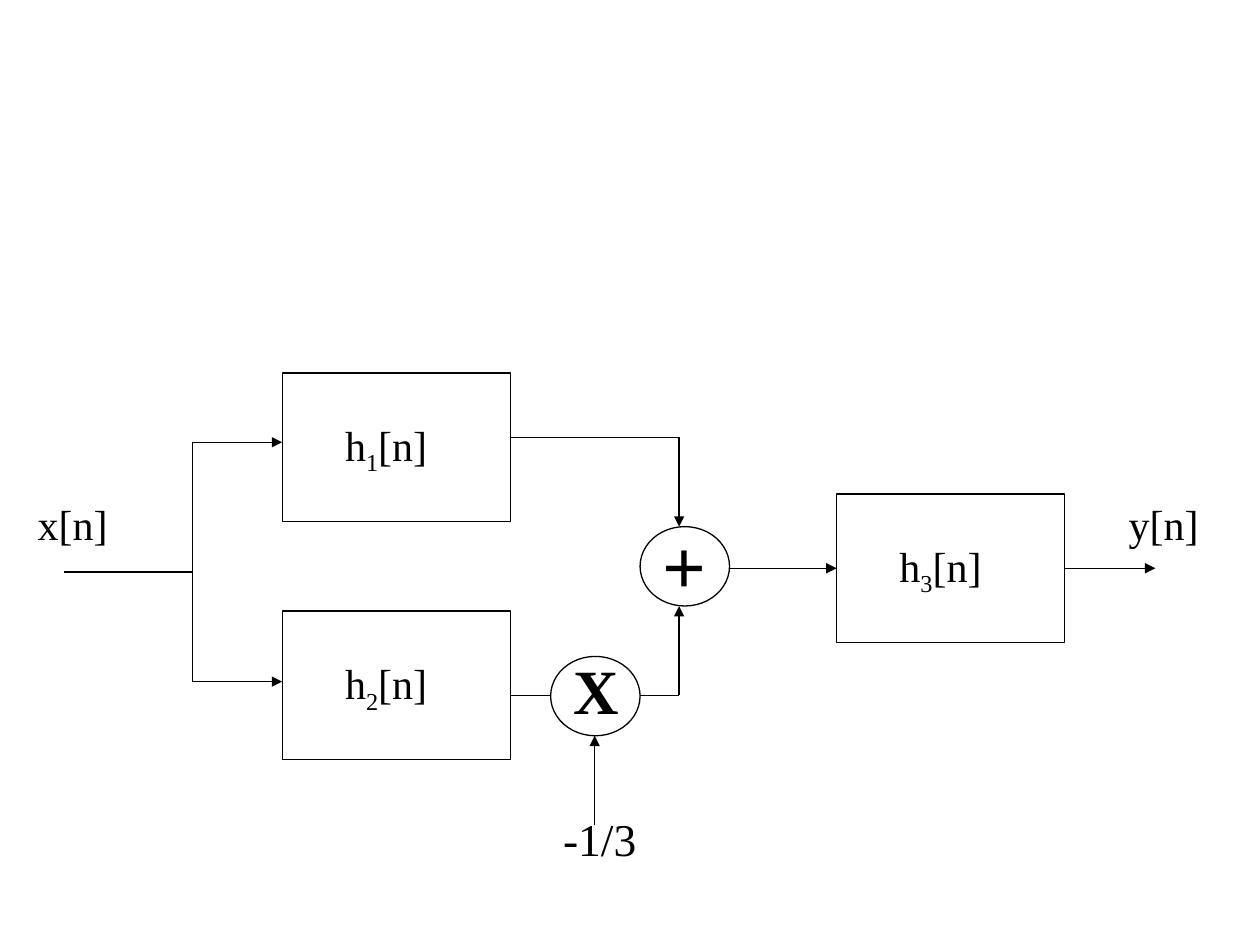
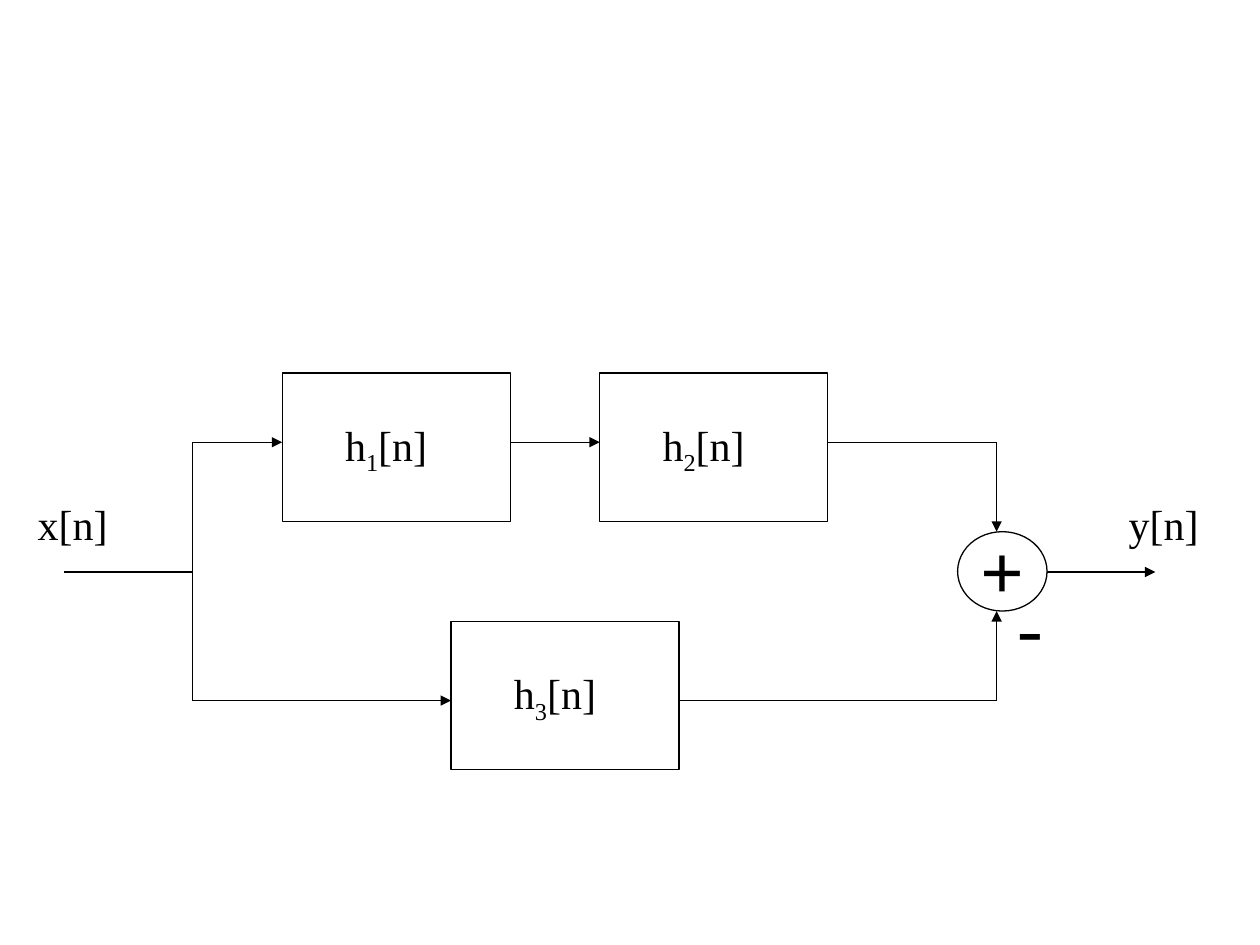
from lxml import etree
from pptx import Presentation
from pptx.dml.color import RGBColor
from pptx.enum.shapes import MSO_CONNECTOR, MSO_SHAPE
from pptx.enum.text import MSO_AUTO_SIZE
from pptx.oxml.ns import qn
from pptx.util import Inches, Pt

RECT, OVAL = MSO_SHAPE.RECTANGLE, MSO_SHAPE.OVAL
STRAIGHT = MSO_CONNECTOR.STRAIGHT
FIT_TEXT = MSO_AUTO_SIZE.SHAPE_TO_FIT_TEXT

COLORS = {"ink": "000000", "paper": "FFFFFF"}
INK, PAPER = (RGBColor.from_string(COLORS[name]) for name in ("ink", "paper"))
FONT = "Times New Roman"
LINE_WIDTH = Pt(0.75)
BOX_W, BOX_H = 1.81, 1.18
NODE_W, NODE_H = 0.71, 0.63
SPLIT_X, INPUT_Y = 1.53, 4.54
JOIN_TOLERANCE = 0.02

# text, left, top, width, height, size
COMMON_LABELS = [
    ("x[n]", 0.2, 3.91, 0.78, 0.5, 24),
    ("y[n]", 8.86, 3.91, 0.78, 0.5, 24),
]
# from x, from y, to x, to y, arrow
COMMON_WIRES = [
    (0.51, INPUT_Y, SPLIT_X, INPUT_Y, False),
    (SPLIT_X, INPUT_Y, SPLIT_X, 3.51, False),
    (SPLIT_X, 3.51, 2.24, 3.51, True),
]

DIAGRAMS = [
    {
        # filter number, left, top
        "filters": [("1", 2.24, 2.96), ("3", 6.64, 3.92), ("2", 2.24, 4.85)],
        "wires": [
            (SPLIT_X, INPUT_Y, SPLIT_X, 5.41, False),
            (SPLIT_X, 5.41, 2.24, 5.41, True),
            (4.05, 3.47, 5.39, 3.47, False),
            (5.39, 3.47, 5.39, 4.18, True),
            (4.05, 5.52, 5.39, 5.52, False),
            (5.39, 5.52, 5.39, 4.81, True),
            (4.72, 6.55, 4.72, 5.84, True),
            (5.79, 4.51, 6.64, 4.51, True),
            (8.45, 4.51, 9.17, 4.51, True),
        ],
        # sign, left, top, size, text rise above the node, text height, filled
        "nodes": [
            ("+", 5.08, 4.18, 44, 0.12, 0.84, False),
            ("X", 4.37, 5.21, 36, 0.09, 0.7, True),
        ],
        "labels": [("-1/3", 4.37, 6.39, 0.78, 0.54, 26)],
    },
    {
        "filters": [("1", 2.24, 2.96), ("2", 4.76, 2.96), ("3", 3.58, 4.93)],
        "wires": [
            (SPLIT_X, INPUT_Y, SPLIT_X, 5.56, False),
            (SPLIT_X, 5.56, 3.58, 5.56, True),
            (4.05, 3.51, 4.76, 3.51, True),
            (6.57, 3.51, 7.91, 3.51, False),
            (7.91, 3.51, 7.91, 4.22, True),
            (5.39, 5.56, 6.65, 5.56, False),
            (6.57, 5.56, 7.91, 5.56, False),
            (7.91, 5.56, 7.91, 4.85, True),
            (8.31, INPUT_Y, 9.17, INPUT_Y, True),
        ],
        "nodes": [("+", 7.6, 4.22, 44, 0.12, 0.84, False)],
        "labels": [("-", 7.98, 4.54, 0.4, 0.84, 44)],
    },
]


def add_outline(s, preset, left, top, width, height, filled=False):
    sp = s.shapes.add_shape(
        preset, Inches(left), Inches(top), Inches(width), Inches(height))
    sp.shadow.inherit = False
    if filled:
        sp.fill.solid()
        sp.fill.fore_color.rgb = PAPER
    else:
        sp.fill.background()
    sp.line.color.rgb = INK
    sp.line.width = LINE_WIDTH
    return sp


def add_text(s, runs, left, top, width, height, size,
             bold=False, wrap=True, space_before=0):
    """Add a one-paragraph text box and return its runs."""
    sp = s.shapes.add_textbox(
        Inches(left), Inches(top), Inches(width), Inches(height))
    tf = sp.text_frame
    tf.word_wrap = wrap
    tf.auto_size = FIT_TEXT
    p = tf.paragraphs[0]
    p.space_before = Pt(space_before)
    p.font.name = FONT
    p.font.size = Pt(size)
    p.font.bold = bold
    p.font.color.rgb = INK
    for text in runs:
        p.add_run().text = text
    return p.runs


prs = Presentation()
prs.slide_width, prs.slide_height = Inches(10), Inches(7.5)

for diagram in DIAGRAMS:
    s = prs.slides.add_slide(prs.slide_layouts[6])

    sides = []  # x, y, box, connection site
    for number, left, top in diagram["filters"]:
        box = add_outline(s, RECT, left, top, BOX_W, BOX_H)
        middle = top + BOX_H / 2
        sides += [(left, middle, box, 1), (left + BOX_W, middle, box, 3)]
        runs = add_text(s, ["h", number, "[n]"], left + 0.4, top + 0.32,
                        1.02, 0.56, 24, space_before=15)
        runs[1].font._element.set("baseline", "-25000")

    for x1, y1, x2, y2, arrow in COMMON_WIRES + diagram["wires"]:
        wire = s.shapes.add_connector(
            STRAIGHT, Inches(x1), Inches(y1), Inches(x2), Inches(y2))
        wire.line.color.rgb = INK
        wire.line.width = LINE_WIDTH
        if arrow:
            etree.SubElement(wire.line._get_or_add_ln(), qn("a:tailEnd"),
                             type="triangle")
        etree.SubElement(wire._element.spPr, qn("a:effectLst"))
        for x, y, box, site in sides:
            if max(abs(x - x1), abs(y - y1)) < JOIN_TOLERANCE:
                wire.begin_connect(box, site)
            if max(abs(x - x2), abs(y - y2)) < JOIN_TOLERANCE:
                wire.end_connect(box, site)

    for sign, left, top, size, rise, height, filled in diagram["nodes"]:
        add_outline(s, OVAL, left, top, NODE_W, NODE_H, filled)
        add_text(s, [sign], left + 0.08, top - rise, 0.63, height, size,
                 bold=True, space_before=27.5)

    for text, left, top, width, height, size in COMMON_LABELS + diagram["labels"]:
        add_text(s, [text], left, top, width, height, size, wrap=False)

prs.save("out.pptx")
